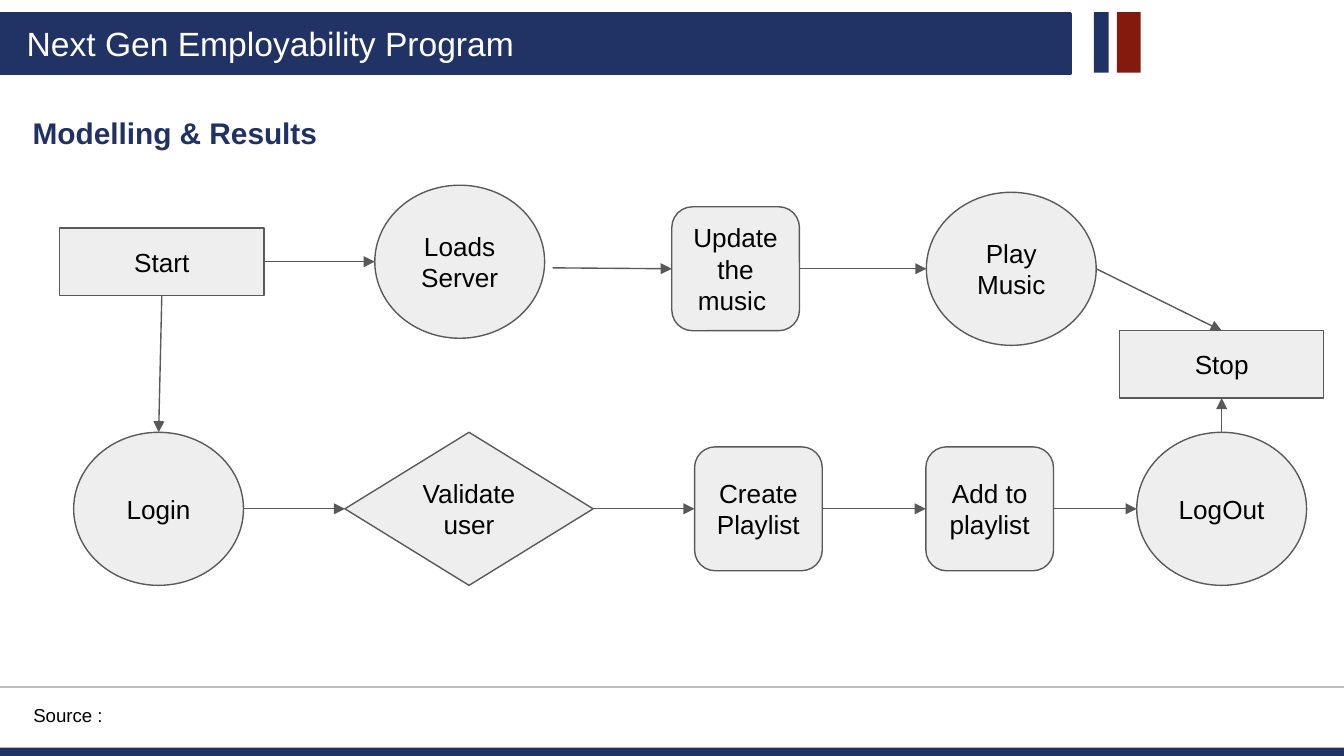
from pptx import Presentation
from pptx.dml.color import RGBColor
from pptx.enum.shapes import MSO_CONNECTOR as Connector, MSO_SHAPE as Shape
from pptx.enum.text import MSO_ANCHOR as Anchor, PP_ALIGN as Align
from pptx.oxml.ns import qn
from pptx.util import Pt
from lxml.etree import SubElement

COLORS = {"navy": "213264", "title": "213163", "red": "841910", "node": "EEEEEE",
          "outline": "595959", "rule": "BFBFBF", "white": "FFFFFF", "black": "000000"}
FONT = "Arial"
NODE_SIZES = {Shape.RECTANGLE: (109.4, 36), Shape.OVAL: (91, 82),
              Shape.ROUNDED_RECTANGLE: (68.4, 66.4), Shape.FLOWCHART_DECISION: (133, 82)}


class FlowSlide:
    def __init__(self, presentation):
        self.slide = presentation.slides.add_slide(presentation.slide_layouts[5])
        self.shapes = self.slide.shapes

    def color(self, name):
        return RGBColor.from_string(COLORS[name])

    def set_text(self, shape, text, size, color, bold=False, align=Align.LEFT,
                 anchor=Anchor.TOP, inset=7.2, wrap=True):
        frame = shape.text_frame
        frame.word_wrap = wrap
        frame.vertical_anchor = anchor
        frame.margin_left = frame.margin_right = Pt(7.2)
        frame.margin_top = frame.margin_bottom = Pt(inset)
        frame.text = text
        paragraph = frame.paragraphs[0]
        paragraph.alignment = align
        font = paragraph.font
        font.name, font.size, font.bold = FONT, Pt(size), bold
        font.color.rgb = self.color(color)

    def title(self, text, left, top, width, height):
        title = self.shapes.title
        title.left, title.top = Pt(left), Pt(top)
        title.width, title.height = Pt(width), Pt(height)
        self.set_text(title, text, 16, "title", bold=True)

    def label(self, text, left, top, width, height, size, color, inset=7.2):
        box = self.shapes.add_textbox(Pt(left), Pt(top), Pt(width), Pt(height))
        self.set_text(box, text, size, color, inset=inset, wrap=False)

    def block(self, kind, left, top, width, height, fill, line=None, weight=0.75):
        shape = self.shapes.add_shape(kind, Pt(left), Pt(top), Pt(width), Pt(height))
        shape.shadow.inherit = False
        shape.fill.solid()
        shape.fill.fore_color.rgb = self.color(fill)
        if line:
            shape.line.color.rgb = self.color(line)
            shape.line.width = Pt(weight)
        else:
            shape.line.fill.background()
        return shape

    def node(self, text, kind, center_x, center_y):
        """Draw a flow step and return its four connection points."""
        width, height = NODE_SIZES[kind]
        left, top = center_x - width / 2, center_y - height / 2
        shape = self.block(kind, left, top, width, height, "node", "outline")
        self.set_text(shape, text, 14, "black", align=Align.CENTER, anchor=Anchor.MIDDLE)
        return {"left": (left, center_y), "right": (left + width, center_y),
                "top": (center_x, top), "bottom": (center_x, top + height)}

    def line(self, start, end, color, arrow=False):
        points = [Pt(value) for value in (*start, *end)]
        connector = self.shapes.add_connector(Connector.STRAIGHT, *points)
        connector.line.color.rgb = self.color(color)
        connector.line.width = Pt(0.75)
        properties = connector._element.spPr
        if arrow:
            SubElement(properties.find(qn("a:ln")), qn("a:tailEnd"), type="triangle")
        SubElement(properties, qn("a:effectLst"))


def main():
    presentation = Presentation()
    presentation.slide_width, presentation.slide_height = Pt(720), Pt(405)
    page = FlowSlide(presentation)

    # Header band, accent bars and footer band
    page.block(Shape.RECTANGLE, 598.3, 6.5, 12.8, 32.4, "red")
    page.block(Shape.RECTANGLE, 586, 6.5, 8, 32.4, "navy")
    page.block(Shape.RECTANGLE, 0, 400.5, 720, 5.5, "navy")
    page.block(Shape.RECTANGLE, 0, 7.2, 573.5, 32, "navy", "navy", 2)
    page.label("Next Gen Employability Program", 7.2, 8.6, 311, 28.8, 18, "white", inset=3.6)

    # Title and source
    page.title("Modelling & Results", 10.3, 54, 231, 25.2)
    page.line((0, 368), (720, 368), "rule")
    page.label("Source :", 10.8, 371, 55.4, 25.2, 10, "black")

    # Flow steps: text, shape, centre
    upper, lower, last = 144, 272.6, 654.5
    steps = {
        "start": ("Start", Shape.RECTANGLE, 86.7, 140.2),
        "load": ("Loads Server", Shape.OVAL, 246.3, 140.2),
        "update": ("Update the music ", Shape.ROUNDED_RECTANGLE, 394.1, upper),
        "play": ("Play Music", Shape.OVAL, 541.8, upper),
        "stop": ("Stop", Shape.RECTANGLE, last, 195.2),
        "login": ("Login", Shape.OVAL, 85, lower),
        "validate": ("Validate user", Shape.FLOWCHART_DECISION, 251.3, lower),
        "create": ("Create Playlist", Shape.ROUNDED_RECTANGLE, 406.3, lower),
        "add": ("Add to playlist", Shape.ROUNDED_RECTANGLE, 530.2, lower),
        "logout": ("LogOut", Shape.OVAL, last, lower),
    }
    nodes = {name: page.node(*step) for name, step in steps.items()}

    # Arrows between steps
    links = [("start", "right", "load", "left"), ("update", "right", "play", "left"),
             ("play", "right", "stop", "top"), ("start", "bottom", "login", "top"),
             ("logout", "top", "stop", "bottom")]
    lower_row = ["login", "validate", "create", "add", "logout"]
    links += [(source, "right", target, "left")
              for source, target in zip(lower_row, lower_row[1:])]
    for source, source_side, target, target_side in links:
        page.line(nodes[source][source_side], nodes[target][target_side], "outline", arrow=True)
    # This arrow starts clear of the Loads Server ellipse
    page.line((296, 143.5), nodes["update"]["left"], "outline", arrow=True)

    presentation.save("out.pptx")


if __name__ == "__main__":
    main()
